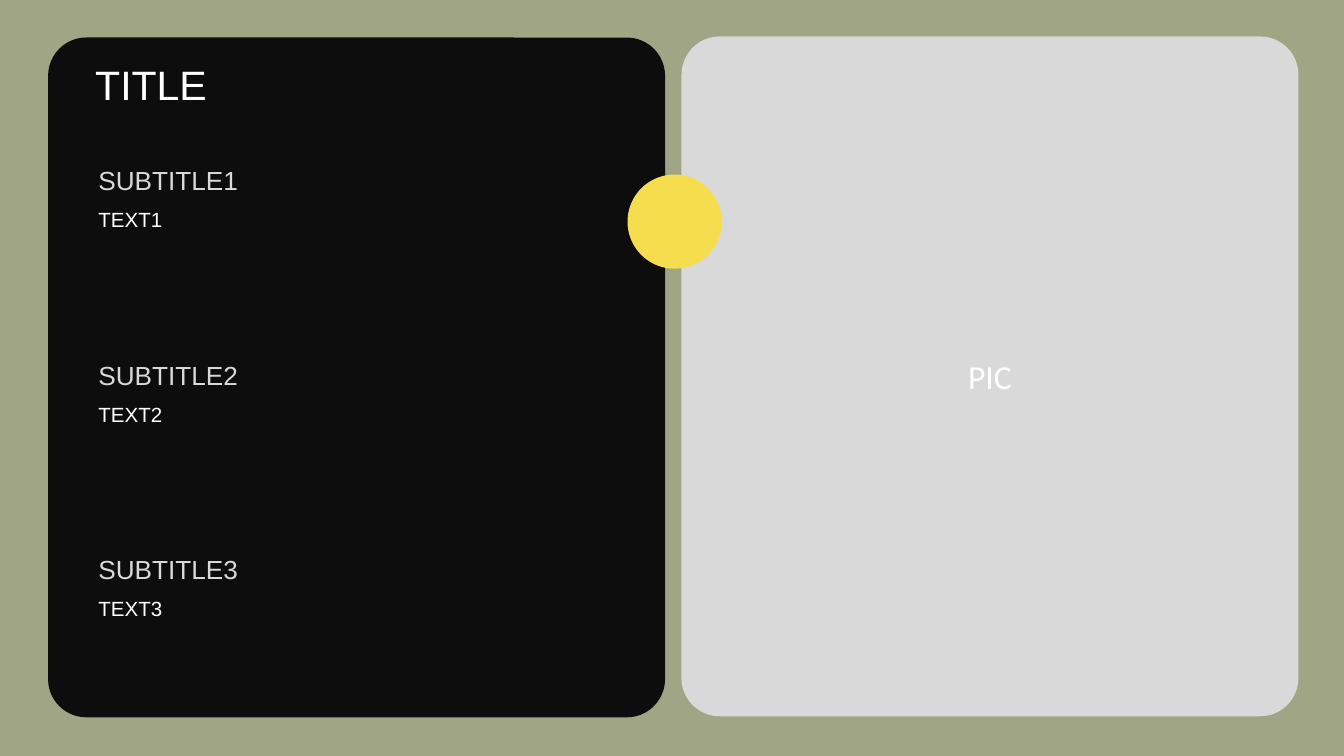
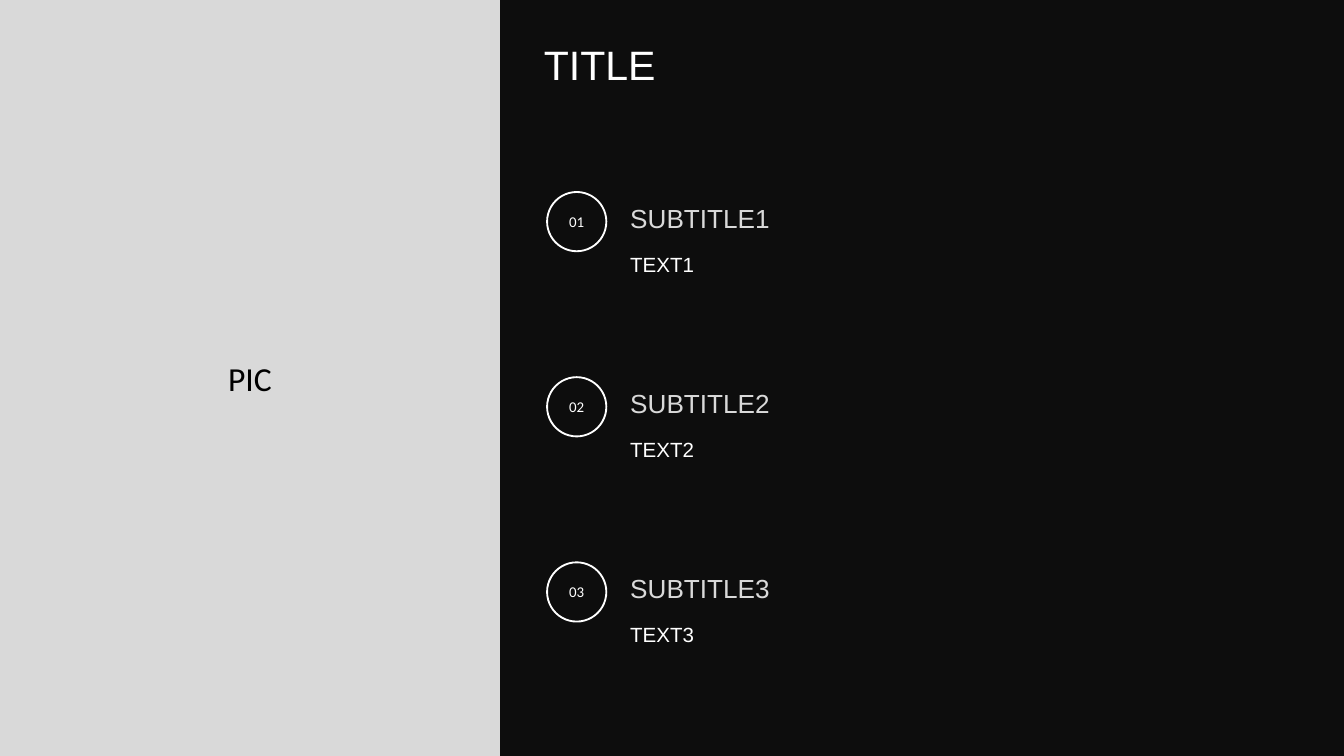
from dataclasses import dataclass
from typing import Optional

from pptx import Presentation
from pptx.dml.color import RGBColor
from pptx.enum.shapes import MSO_SHAPE
from pptx.enum.text import MSO_ANCHOR, MSO_AUTO_SIZE, PP_ALIGN
from pptx.util import Cm, Pt

# Shared colours
BLACK, DARK, GREY, WHITE = "000000", "0D0D0D", "D9D9D9", "FFFFFF"
SAGE, GOLD = "A0A585", "F5DD4D"


@dataclass(frozen=True)
class Box:
    """Left, top, width and height in centimetres."""
    left: float
    top: float
    width: float
    height: float

    def place(self) -> tuple:
        return Cm(self.left), Cm(self.top), Cm(self.width), Cm(self.height)


@dataclass(frozen=True)
class Style:
    size: float
    color: str
    font: str = "Arial"
    align: PP_ALIGN = PP_ALIGN.LEFT
    anchor: MSO_ANCHOR = MSO_ANCHOR.TOP
    inset: tuple = (0.25, 0.13)


@dataclass(frozen=True)
class Stack:
    """Evenly stepped subtitle and text pairs, with an optional ring each."""
    head: Box
    step: float
    drop: float
    depth: float
    ring: Optional[Box] = None


# Text styles
TITLE = Style(22, WHITE)
HEAD = Style(14, GREY, anchor=MSO_ANCHOR.BOTTOM)
BODY = Style(11, WHITE)


def label(size: float, color: str) -> Style:
    return Style(size, color, "Calibri", PP_ALIGN.CENTER, MSO_ANCHOR.MIDDLE, (0, 0))


def paint(color: str) -> RGBColor:
    return RGBColor.from_string(color)


def write(frame, text: str, style: Style) -> None:
    frame.word_wrap = True
    frame.auto_size = MSO_AUTO_SIZE.NONE
    frame.vertical_anchor = style.anchor
    across, down = style.inset
    frame.margin_left = frame.margin_right = Cm(across)
    frame.margin_top = frame.margin_bottom = Cm(down)
    para = frame.paragraphs[0]
    para.alignment = style.align
    run = para.add_run()
    run.text = text
    run.font.name = style.font
    run.font.size = Pt(style.size)
    run.font.color.rgb = paint(style.color)


def add_text(slide, box: Box, text: str, style: Style) -> None:
    write(slide.shapes.add_textbox(*box.place()).text_frame, text, style)


def add_form(slide, kind: MSO_SHAPE, box: Box, fill: Optional[str] = None,
             line: Optional[str] = None):
    form = slide.shapes.add_shape(kind, *box.place())
    form.shadow.inherit = False
    if fill:
        form.fill.solid()
        form.fill.fore_color.rgb = paint(fill)
    else:
        form.fill.background()
    if line:
        form.line.color.rgb = paint(line)
        form.line.width = Pt(1)
    else:
        form.line.fill.background()
    return form


def add_panel(slide, box: Box, fill: str, round_by: float):
    panel = add_form(slide, MSO_SHAPE.ROUNDED_RECTANGLE, box, fill)
    panel.adjustments[0] = round_by
    return panel


def add_slide(deck, color: str):
    slide = deck.slides.add_slide(deck.slide_layouts[5])
    slide.background.fill.solid()
    slide.background.fill.fore_color.rgb = paint(color)
    return slide


def set_title(slide, box: Box) -> None:
    title = slide.shapes.title
    title.left, title.top, title.width, title.height = box.place()
    write(title.text_frame, "TITLE", TITLE)
    # Bring the title in front of the panels
    title.element.getparent().append(title.element)


def add_stack(slide, stack: Stack) -> None:
    head, ring = stack.head, stack.ring
    for row in range(3):
        shift = row * stack.step
        top = head.top + shift
        add_text(slide, Box(head.left, top, head.width, head.height),
                 f"SUBTITLE{row + 1}", HEAD)
        add_text(slide, Box(head.left, top + stack.drop, head.width, stack.depth),
                 f"TEXT{row + 1}", BODY)
        if ring:
            spot = Box(ring.left, ring.top + shift, ring.width, ring.height)
            form = add_form(slide, MSO_SHAPE.OVAL, spot, line=WHITE)
            write(form.text_frame, f"{row + 1:02}", label(8, WHITE))


def build_cards(deck) -> None:
    slide = add_slide(deck, SAGE)
    # Two cards joined by a dot
    photo = add_panel(slide, Box(12.88, 0.69, 11.66, 12.85), GREY, 0.062)
    write(photo.text_frame, "PIC", label(18, WHITE))
    add_panel(slide, Box(0.91, 0.71, 11.66, 12.85), DARK, 0.062)
    add_form(slide, MSO_SHAPE.OVAL, Box(11.86, 3.3, 1.78, 1.78), GOLD)
    # Text
    add_stack(slide, Stack(Box(1.61, 2.31, 10.26, 1.52), 3.68, 1.47, 2.24))
    set_title(slide, Box(1.55, 0.99, 10.57, 2.18))


def build_list(deck) -> None:
    slide = add_slide(deck, DARK)
    # Side panel
    photo = add_panel(slide, Box(0, 0, 9.45, 14.29), GREY, 0)
    write(photo.text_frame, "PIC", label(18, BLACK))
    # Numbered list
    add_stack(slide, Stack(Box(11.66, 3.63, 12.98, 0.91), 3.5, 1, 1.98,
                           Box(10.34, 3.63, 1.12, 1.12)))
    set_title(slide, Box(10.03, 0.61, 14.94, 2.54))


def main() -> None:
    deck = Presentation()
    deck.slide_width, deck.slide_height = Cm(25.4), Cm(14.29)
    build_cards(deck)
    build_list(deck)
    deck.save("out.pptx")


if __name__ == "__main__":
    main()
